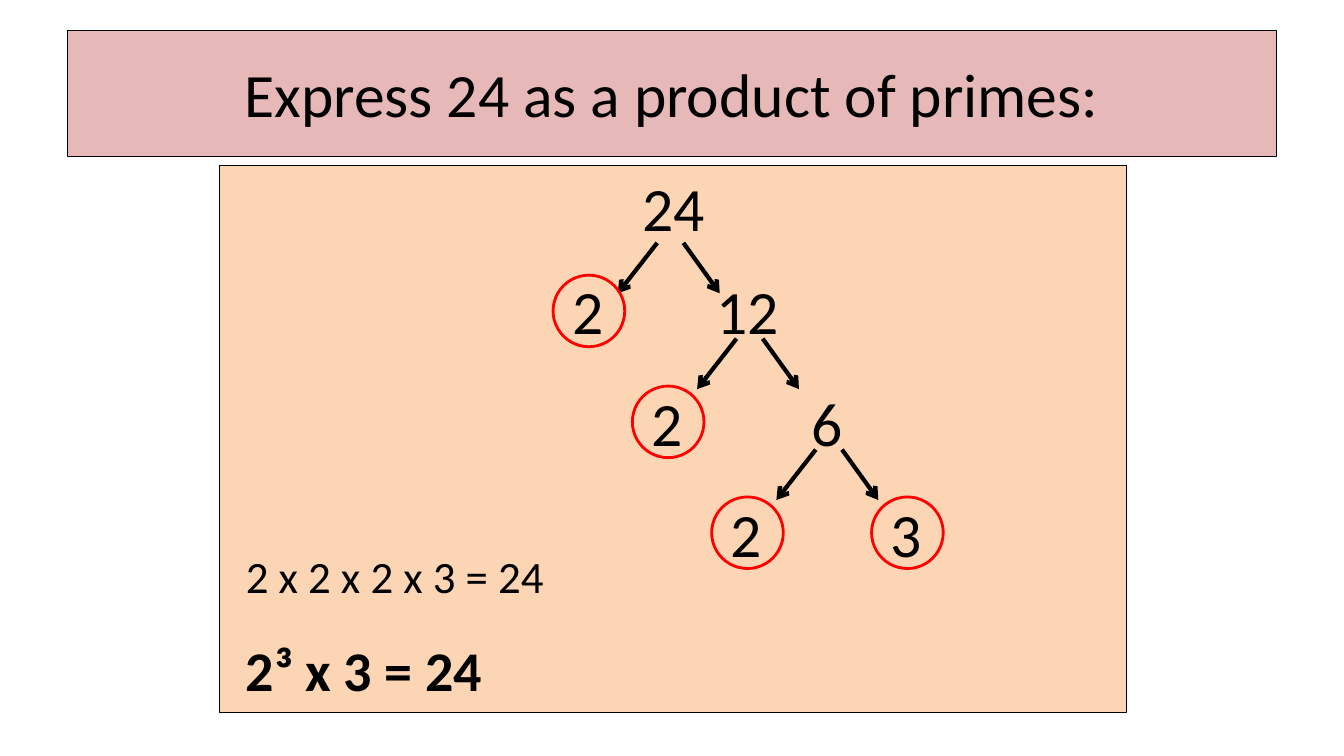
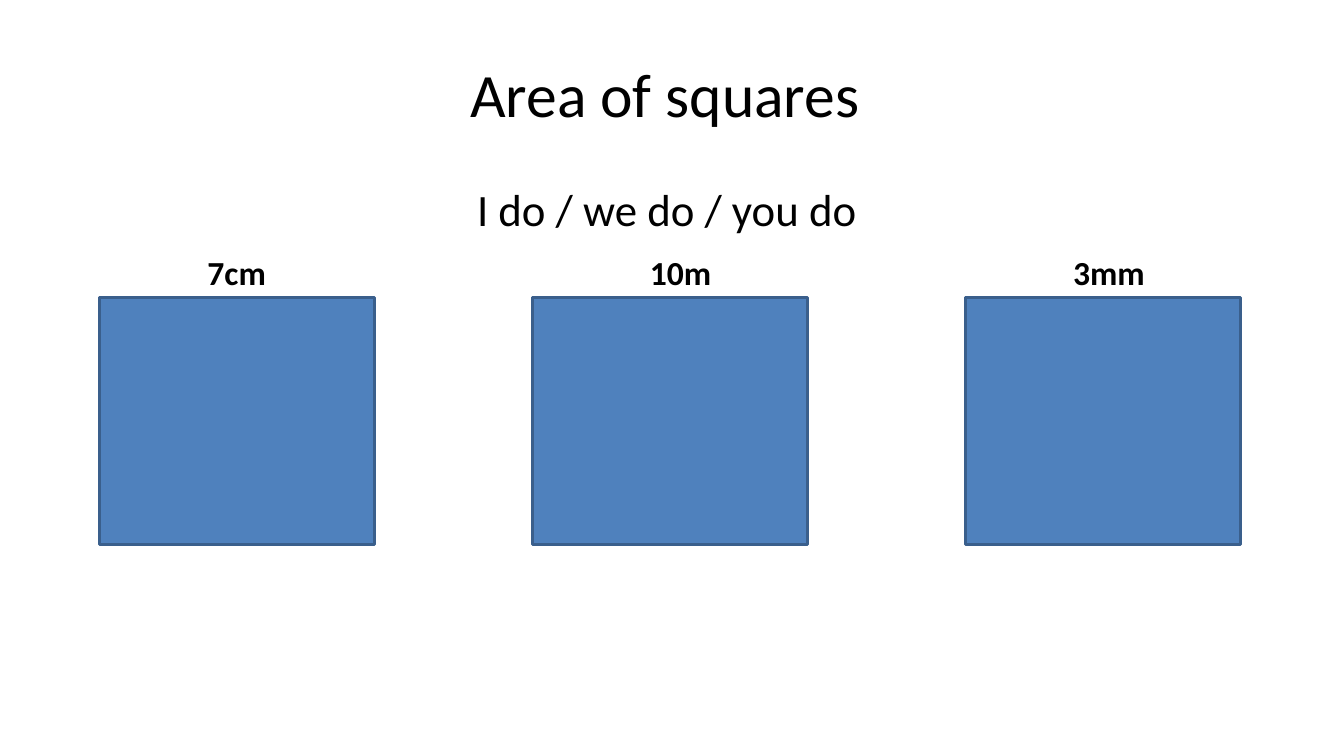
from lxml import etree
from pptx import Presentation
from pptx.dml.color import RGBColor
from pptx.enum.shapes import MSO_CONNECTOR, MSO_SHAPE
from pptx.enum.text import MSO_ANCHOR, PP_ALIGN
from pptx.oxml.ns import qn
from pptx.util import Inches, Pt

# Shared look
FONT = "Calibri"
BLACK = RGBColor(0x00, 0x00, 0x00)
RED = RGBColor(0xFF, 0x00, 0x00)
PINK = RGBColor(0xE6, 0xB9, 0xB8)
PEACH = RGBColor(0xFC, 0xD5, 0xB5)
BLUE = RGBColor(0x4F, 0x81, 0xBD)
DARK_BLUE = RGBColor(0x3A, 0x5F, 0x8C)
TITLE_SIZE = 44
TITLE_AREA = (5, 4, 90, 16.67)

# Grid: 100 columns by 100 rows, so places are percentages of the slide
WIDTH, HEIGHT = Inches(13.33), Inches(7.5)


def across(columns):
    return round(WIDTH * columns / 100)


def down(rows):
    return round(HEIGHT * rows / 100)


def place(area):
    left, top, width, height = area
    return across(left), down(top), across(width), down(height)


# Element kinds
def write(shape, text, size, bold=False, align=PP_ALIGN.LEFT, anchor=MSO_ANCHOR.TOP):
    frame = shape.text_frame
    frame.word_wrap = True
    frame.vertical_anchor = anchor
    frame.text = text
    paragraph = frame.paragraphs[0]
    paragraph.alignment = align
    font = paragraph.runs[0].font
    font.name, font.size, font.bold = FONT, Pt(size), bold
    font.color.rgb = BLACK


def add_text(slide, area, text, size, **style):
    write(slide.shapes.add_textbox(*place(area)), text, size, **style)


def add_figure(slide, area, fill=None, line=None, weight=0.75, kind=MSO_SHAPE.RECTANGLE):
    shape = slide.shapes.add_shape(kind, *place(area))
    shape.shadow.inherit = False
    if fill is None:
        shape.fill.background()
    else:
        shape.fill.solid()
        shape.fill.fore_color.rgb = fill
    if line is None:
        shape.line.fill.background()
    else:
        shape.line.color.rgb = line
        shape.line.width = Pt(weight)
    return shape


def add_arrow(slide, start, end):
    arrow = slide.shapes.add_connector(
        MSO_CONNECTOR.STRAIGHT,
        across(start[0]), down(start[1]), across(end[0]), down(end[1]))
    arrow.line.color.rgb = BLACK
    arrow.line.width = Pt(3)
    etree.SubElement(arrow.line._get_or_add_ln(), qn("a:tailEnd"), type="arrow")
    etree.SubElement(arrow._element.spPr, qn("a:effectLst"))


def add_title(slide, text, fill=None, line=None):
    band = add_figure(slide, TITLE_AREA, fill, line)
    write(band, text, TITLE_SIZE, align=PP_ALIGN.CENTER, anchor=MSO_ANCHOR.MIDDLE)


# Factor tree: each level moves right and down, with two branches
LEVEL_SHIFT, BRANCH_GAP = 5.9, 11.9
BRANCHES = [("2", "12"), ("2", "6"), ("2", "3")]
ARROW_TOPS = [32.13, 44.8, 59.47]


def add_factor_tree(slide):
    for level, pair in enumerate(BRANCHES):
        for side, number in enumerate(pair):
            left = 40 + level * LEVEL_SHIFT + side * BRANCH_GAP
            box = add_figure(slide, (left, 34.27 + level * 14.8, 7.5, 13.33), PEACH)
            write(box, number, TITLE_SIZE, align=PP_ALIGN.CENTER,
                  anchor=MSO_ANCHOR.MIDDLE)

    for level, top in enumerate(ARROW_TOPS):
        fork = 48.9 + level * LEVEL_SHIFT
        for start, end in [(0, -2.93), (1.95, 4.65)]:
            add_arrow(slide, (fork + start, top), (fork + end, top + 6.67))

    # Rings mark the primes
    for level, pair in enumerate(BRANCHES):
        for side, number in enumerate(pair):
            if number in ("2", "3"):
                left = 41.15 + level * LEVEL_SHIFT + side * BRANCH_GAP
                add_figure(slide, (left, 36.4 + level * 14.67, 5.33, 9.47),
                           line=RED, weight=2, kind=MSO_SHAPE.OVAL)


# Slides
def build_prime_slide(slide):
    add_title(slide, "Express 24 as a product of primes:", PINK, BLACK)
    panel = add_figure(slide, (16.35, 21.87, 67.5, 72.4), PEACH, BLACK)
    write(panel, "24", TITLE_SIZE, align=PP_ALIGN.CENTER)
    add_factor_tree(slide)
    add_text(slide, (17.55, 71.87, 24.83, 8.53), "2 x 2 x 2 x 3 = 24", 32)
    add_text(slide, (17.55, 83.47, 24.83, 10.27), "2³ x 3 = 24", 40, bold=True)


def build_area_slide(slide):
    add_title(slide, "Area of squares ")
    add_text(slide, (5, 23.33, 90, 8.27), "I do / we do / you do ", 32,
             align=PP_ALIGN.CENTER)
    squares = [("7cm", 7.28), ("10m", 8), ("3mm", 7.28)]
    for index, (side_length, indent) in enumerate(squares):
        left = 7.42 + index * 32.2
        add_figure(slide, (left, 39.33, 20.48, 32.67), BLUE, DARK_BLUE, 2)
        add_text(slide, (left + indent, 32.67, 7.2, 6.67), side_length, 24, bold=True)


def main():
    presentation = Presentation()
    presentation.slide_width, presentation.slide_height = WIDTH, HEIGHT
    blank = presentation.slide_layouts[6]
    for build in (build_prime_slide, build_area_slide):
        build(presentation.slides.add_slide(blank))
    presentation.save("out.pptx")


if __name__ == "__main__":
    main()
